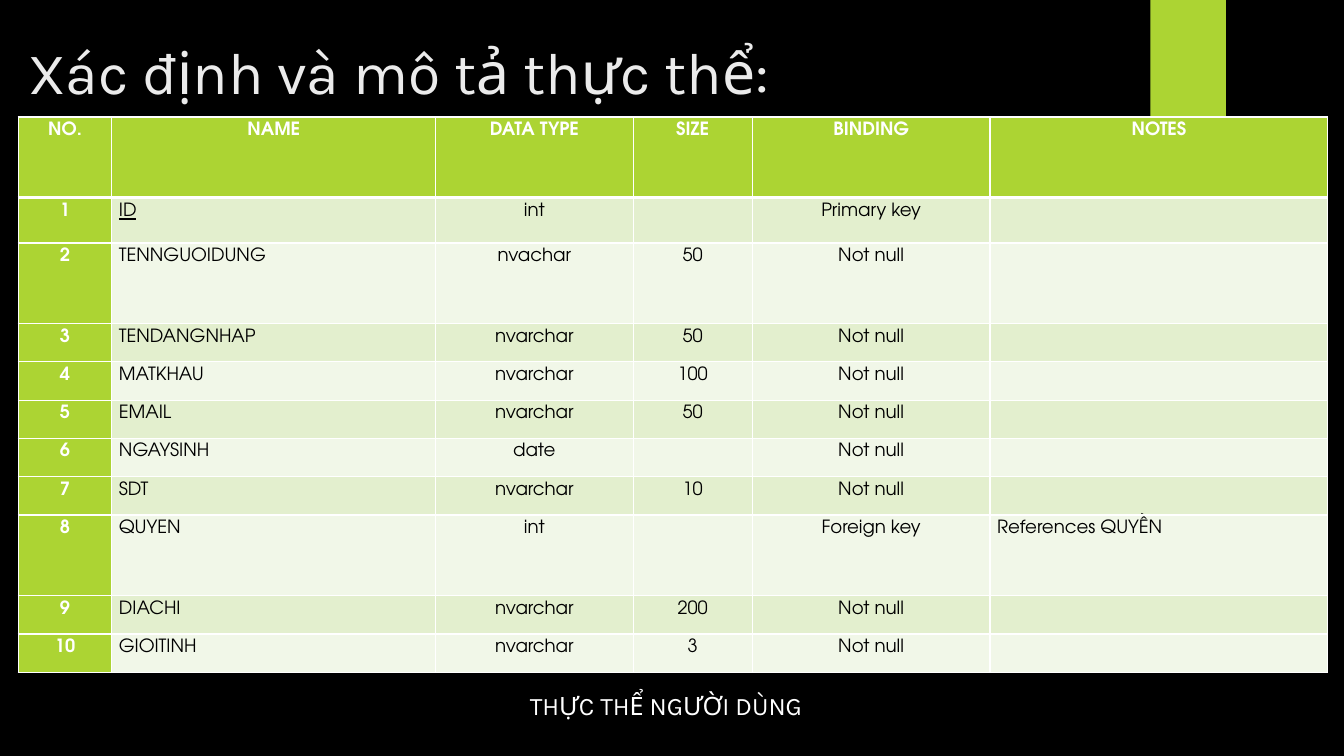
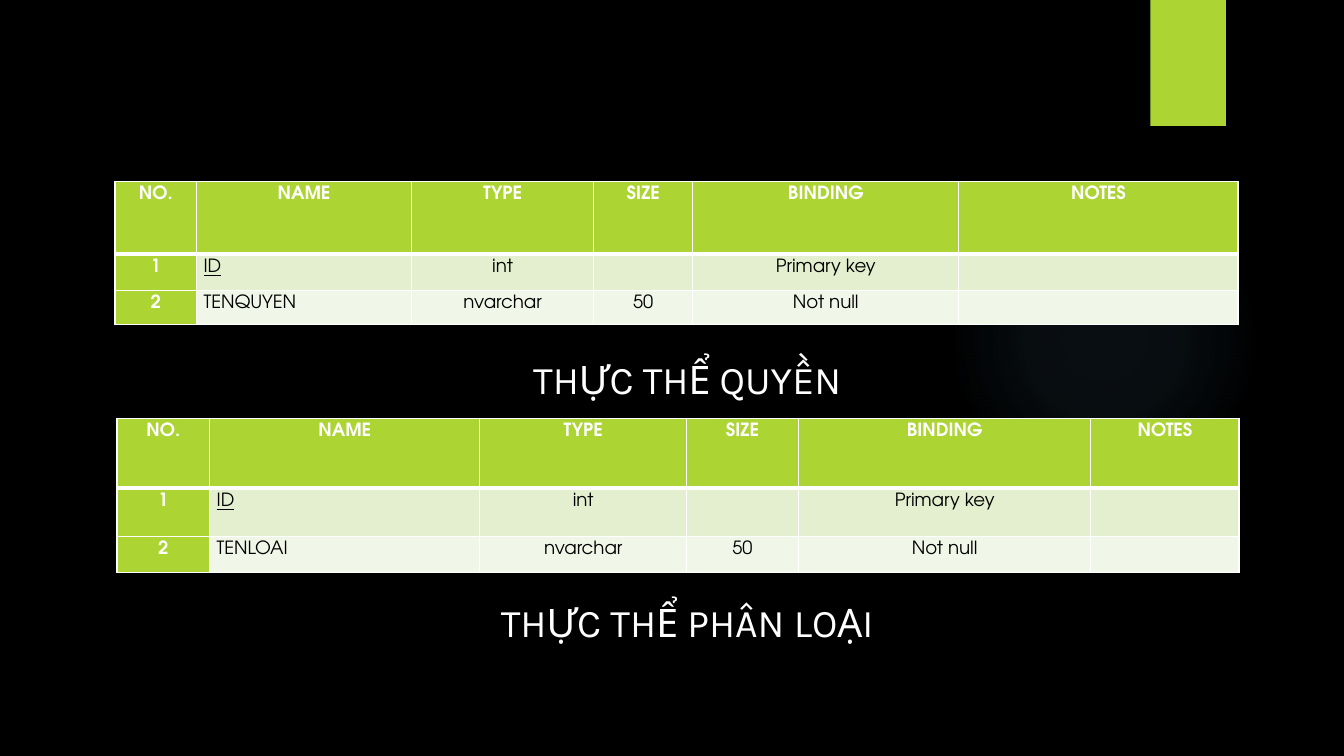
from dataclasses import dataclass
from typing import NamedTuple

from pptx import Presentation
from pptx.dml.color import RGBColor
from pptx.enum.shapes import MSO_SHAPE as SHAPE
from pptx.enum.text import MSO_ANCHOR as ANCHOR, MSO_AUTO_SIZE as AUTO, PP_ALIGN as ALIGN
from pptx.oxml import parse_xml
from pptx.oxml.ns import nsdecls, qn
from pptx.util import Inches, Pt

# Shared look
BLACK, WHITE, TITLE_GREY = "000000", "FFFFFF", "EBEBEB"
LIME, GLOW_BLUE = "ACD433", "7AC4F0"
BANDS = ("E3EFCE", "F1F7E8")
HEAD_FONT, TABLE_FONT = "Karla", "TeX Gyre Adventor"
TITLE_ONLY, BLANK = 5, 6


class Field(NamedTuple):
    name: str
    type: str
    size: str = ""
    binding: str = "Not null"
    notes: str = ""


@dataclass
class Entity:
    left: float
    top: float
    cols: list[float]
    rows: list[float]
    fields: list[Field]
    type_label: str = "TYPE"


@dataclass
class Caption:
    text: str
    left: float
    top: float
    height: float
    size: int


def rgb(color: str) -> RGBColor:
    return RGBColor.from_string(color)


def style(p, font: str, size: float, color: str, align=ALIGN.LEFT, bold: bool = False) -> None:
    p.alignment = align
    p.font.name, p.font.size, p.font.bold = font, Pt(size), bold
    p.font.color.rgb = rgb(color)


def add_decor(slide) -> None:
    """Faint round glow and the lime ribbon at the top."""
    glow = slide.shapes.add_shape(SHAPE.OVAL, Inches(9.41), Inches(1.83), Inches(3.08), Inches(3.08))
    ribbon = slide.shapes.add_shape(SHAPE.RECTANGLE, Inches(11.41), 0, Inches(0.75), Inches(1.25))
    for sp in (glow, ribbon):
        sp.shadow.inherit = False
        sp.line.fill.background()
    ribbon.fill.solid()
    ribbon.fill.fore_color.rgb = rgb(LIME)

    # Radial gradient fading to transparent
    stops = "".join(
        f'<a:gs pos="{pos}000"><a:srgbClr val="{GLOW_BLUE}"><a:alpha val="{alpha}000"/></a:srgbClr></a:gs>'
        for pos, alpha in ((0, 7), (36, 6), (69, 0)))
    glow.fill.background()
    spPr = glow._element.spPr
    spPr.replace(spPr.find(qn("a:noFill")), parse_xml(
        f'<a:gradFill {nsdecls("a")}><a:gsLst>{stops}</a:gsLst><a:path path="circle">'
        '<a:fillToRect l="50000" t="50000" r="50000" b="50000"/></a:path></a:gradFill>'))


def add_title(slide, text: str) -> None:
    sp = slide.shapes.title
    sp.left, sp.top, sp.width, sp.height = Inches(0.18), Inches(0.23), Inches(10.29), Inches(0.94)
    tf = sp.text_frame
    tf.text = text
    tf.auto_size, tf.vertical_anchor = AUTO.NONE, ANCHOR.MIDDLE
    style(tf.paragraphs[0], HEAD_FONT, 42, TITLE_GREY)


def add_caption(slide, c: Caption) -> None:
    sp = slide.shapes.add_textbox(Inches(c.left), Inches(c.top), Inches(5.25), Inches(c.height))
    tf = sp.text_frame
    tf.word_wrap, tf.auto_size = True, AUTO.SHAPE_TO_FIT_TEXT
    tf.text = c.text
    style(tf.paragraphs[0], HEAD_FONT, c.size, WHITE, ALIGN.CENTER)


def add_borders(cell) -> None:
    """White header borders, thicker below."""
    tcPr = cell._tc.get_or_add_tcPr()
    for side, width in (("L", 1), ("R", 1), ("T", 1), ("B", 3)):
        tcPr.append(parse_xml(
            f'<a:ln{side} {nsdecls("a")} w="{Pt(width)}"><a:solidFill>'
            f'<a:srgbClr val="{WHITE}"/></a:solidFill></a:ln{side}>'))


def fill_cell(cell, text: str, row: int, col: int) -> None:
    accent = row == 0 or col == 0
    cell.margin_left = cell.margin_right = Inches(0.07)
    cell.margin_top = cell.margin_bottom = 0
    if row == 0:
        add_borders(cell)
    cell.fill.solid()
    cell.fill.fore_color.rgb = rgb(LIME if accent else BANDS[(row - 1) % 2])
    if not text:
        return
    cell.text = text
    p = cell.text_frame.paragraphs[0]
    p.line_spacing, p.space_before, p.space_after = 1.3, Pt(6), Pt(3)
    # Names and notes are left-aligned below the header
    align = ALIGN.LEFT if row and col in (1, 5) else ALIGN.CENTER
    style(p, TABLE_FONT, 13, WHITE if accent else BLACK, align, accent)
    if text == "ID":
        p.font.underline = True


def add_entity(slide, e: Entity) -> None:
    header = ("NO.", "NAME", e.type_label, "SIZE", "BINDING", "NOTES")
    records = [header] + [(str(n), *field) for n, field in enumerate(e.fields, 1)]
    table = slide.shapes.add_table(
        len(records), len(header), Inches(e.left), Inches(e.top),
        Inches(sum(e.cols)), Inches(sum(e.rows))).table
    table.first_col = True
    for column, width in zip(table.columns, e.cols):
        column.width = Inches(width)
    for r, (record, height) in enumerate(zip(records, e.rows)):
        table.rows[r].height = Inches(height)
        for c, text in enumerate(record):
            fill_cell(table.cell(r, c), text, r, c)


ID = Field("ID", "int", binding="Primary key")

USER = Entity(
    0.18, 1.16, [0.93, 3.21, 1.96, 1.18, 2.36, 3.35],
    [0.8, 0.45, 0.8] + [0.38] * 5 + [0.8] + [0.38] * 2,
    [
        ID,
        Field("TENNGUOIDUNG", "nvachar", "50"),
        Field("TENDANGNHAP", "nvarchar", "50"),
        Field("MATKHAU", "nvarchar", "100"),
        Field("EMAIL", "nvarchar", "50"),
        Field("NGAYSINH", "date"),
        Field("SDT", "nvarchar", "10"),
        Field("QUYEN", "int", binding="Foreign key", notes="References QUYỀN"),
        Field("DIACHI", "nvarchar", "200"),
        Field("GIOITINH", "nvarchar", "3"),
    ],
    "DATA TYPE")
ROLE = Entity(1.14, 1.8, [0.81, 2.13, 1.81, 0.98, 2.64, 2.77], [0.72, 0.36, 0.34],
              [ID, Field("TENQUYEN", "nvarchar", "50")])
CATEGORY = Entity(1.16, 4.15, [0.92, 2.68, 2.05, 1.11, 2.9, 1.47], [0.69, 0.48, 0.36],
                  [ID, Field("TENLOAI", "nvarchar", "50")])


def add_slide(prs, entities: list[Entity], captions: list[Caption], title: str = "") -> None:
    slide = prs.slides.add_slide(prs.slide_layouts[TITLE_ONLY if title else BLANK])
    add_decor(slide)
    if title:
        add_title(slide, title)
    for caption in captions:
        add_caption(slide, caption)
    for entity in entities:
        add_entity(slide, entity)


def main() -> None:
    prs = Presentation()
    prs.slide_width, prs.slide_height = Inches(13.33), Inches(7.5)
    background = prs.slide_master.background.fill
    background.solid()
    background.fore_color.rgb = rgb(BLACK)

    # Slide 1: user entity
    add_slide(prs, [USER], [Caption("THỰC THỂ NGƯỜI DÙNG", 3.98, 6.8, 0.4, 18)],
              "Xác định và mô tả thực thể:")
    # Slide 2: role and category entities
    add_slide(prs, [ROLE, CATEGORY], [
        Caption("THỰC THỂ QUYỀN", 4.19, 3.48, 0.57, 28),
        Caption("THỰC THỂ PHÂN LOẠI", 4.19, 5.89, 0.57, 28),
    ])
    prs.save("out.pptx")


if __name__ == "__main__":
    main()
